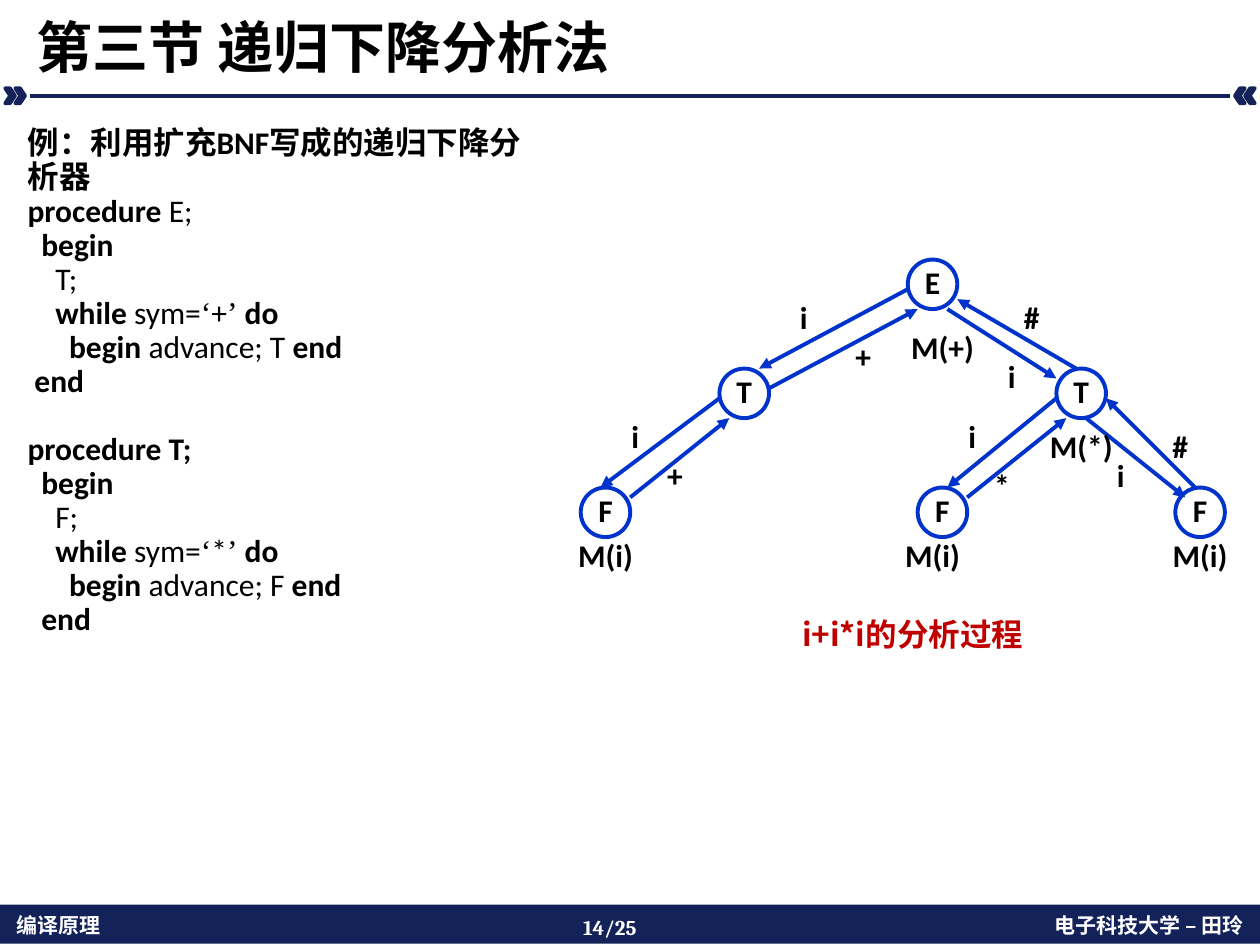
from itertools import groupby

from pptx import Presentation
from pptx.dml.color import RGBColor as RGB
from pptx.enum.shapes import MSO_CONNECTOR as Link, MSO_SHAPE as Kind
from pptx.enum.text import MSO_ANCHOR as Anchor, MSO_AUTO_SIZE as Fit, PP_ALIGN as Align
from pptx.oxml.ns import qn
from pptx.util import Inches, Pt

NAVY = RGB(0x13, 0x22, 0x59)
BLUE = RGB(0x00, 0x33, 0xCC)
RED = RGB(0xC0, 0x00, 0x00)
BLACK = RGB(0, 0, 0)
WHITE = RGB(0xFF, 0xFF, 0xFF)
HAN = "Noto Sans CJK SC"
LATIN = "Calibri"
QUOTE = "Times New Roman"
STEP = Inches(0.11)

# "|" toggles bold; each row is indent level, gap before in points, text
CODE = [
    (0, 0, "|例：利用扩充BNF写成的递归下降分析器"),
    (0, 0, "|procedure| E;"),
    (1, 0, "|begin"),
    (2, 0, "T;"),
    (2, 0, "|while |sym=‘+’ |do"),
    (3, 0, "|begin| advance; T |end"),
    (0.5, 0, "|end"),
    (0, 19.5, "|procedure T;"),
    (1, 0, "|begin"),
    (2, 0, "F;"),
    (2, 0, "|while |sym=‘*’| do"),
    (3, 0, "|begin |advance; F| end"),
    (1, 0, "|end"),
]
NODES = [("E", 34, 0), ("T", 15, 11), ("T", 49, 11),
         ("F", 1, 23), ("F", 35, 23), ("F", 61, 23)]
ARROWS = [
    (34, 3, 19, 11), (20, 13, 35, 5), (15, 14, 3, 23), (6, 24, 16, 16),
    (38, 5, 49, 12), (51, 11, 39, 4), (52, 16, 62, 24), (63, 23, 54, 14),
    (49, 14, 38, 23), (40, 24, 50, 16),
]
SIGNS = [
    ("i", 4, 16), ("i", 21, 4), ("i", 38, 16), ("+", 8, 20), ("+", 27, 8),
    ("i", 42, 10), ("#", 44, 4), ("#", 59, 17), ("i", 53, 20), ("*", 41, 21),
]
CALLS = [("M(i)", 0, 28), ("M(*)", 48, 17), ("M(i)", 60, 28),
         ("M(+)", 34, 7), ("M(i)", 33, 28)]


def write(para, text, size=18, font=LATIN, color=BLACK, bold=True,
          align=Align.LEFT, space=0.9):
    para.alignment = align
    para.line_spacing = space
    for quote, part in groupby(text, lambda sign: sign in "‘’"):
        run = para.add_run()
        run.text = "".join(part)
        face = run.font
        face.size, face.bold = Pt(size), bold
        face.name = QUOTE if quote else font
        face.color.rgb = color
        props = run._r.get_or_add_rPr()
        east = props.makeelement(qn("a:ea"), {"typeface": HAN})
        props.find(qn("a:latin")).addnext(east)


def label(slide, box, text, **style):
    frame = slide.shapes.add_textbox(*box).text_frame
    frame.word_wrap = True
    write(frame.paragraphs[0], text, **style)


def center(frame, text, **style):
    frame.margin_left = frame.margin_right = 0
    frame.vertical_anchor = Anchor.MIDDLE
    frame.word_wrap = False
    write(frame.paragraphs[0], text, align=Align.CENTER, **style)


def shape(slide, kind, box, line, width, fill=None):
    item = slide.shapes.add_shape(kind, *box)
    item.shadow.inherit = False
    if fill is None:
        item.fill.background()
    else:
        item.fill.solid()
        item.fill.fore_color.rgb = fill
    if line is None:
        item.line.fill.background()
    else:
        item.line.color.rgb = line
        item.line.width = Pt(width)
    return item


def link(slide, ends, color, width, arrow=False):
    item = slide.shapes.add_connector(Link.STRAIGHT, *ends)
    item.line.color.rgb = color
    item.line.width = Pt(width)
    props = item._element.spPr
    props.append(props.makeelement(qn("a:effectLst"), {}))
    if arrow:
        line = item.line._get_or_add_ln()
        line.append(line.makeelement(qn("a:tailEnd"), {"type": "triangle"}))


def footer(slide, box):
    left, top, width, height = box
    shape(slide, Kind.RECTANGLE, box, None, 0, NAVY)
    side = Inches(2.97)
    pad = Inches(0.03)
    label(slide, (left + pad, top + Inches(0.01), side, height), "编译原理",
          size=12, font=HAN, color=WHITE, space=1)
    label(slide, (left + width - side - pad, top + Inches(0.01), side, height),
          "电子科技大学 – 田玲", size=12, font=HAN, color=WHITE,
          align=Align.RIGHT, space=1)
    page = Inches(0.94)
    label(slide, (left + (width - page) // 2, top + pad, page, height),
          "14/25", size=12, font="Cambria", color=WHITE, space=1)


def rule(slide, box):
    left, top, width, height = box
    wide = Inches(0.08)
    for place in (0, wide):
        shape(slide, Kind.CHEVRON, (left + place, top, wide, height), NAVY, 2, NAVY)
        far = left + width - wide - place
        shape(slide, Kind.CHEVRON, (far, top, wide, height), NAVY, 2, NAVY).rotation = 180
    mid = top + height // 2
    inset = Inches(0.2)
    link(slide, (left + inset, mid, left + width - inset, mid), NAVY, 2)


def title(slide, box, text):
    head = slide.shapes.title
    head.left, head.top, head.width, head.height = box
    frame = head.text_frame
    frame.auto_size = Fit.NONE
    frame.vertical_anchor = Anchor.BOTTOM
    write(frame.paragraphs[0], text, size=32, font=HAN)


def code(slide, box):
    frame = slide.shapes.add_textbox(*box).text_frame
    frame.word_wrap = True
    for row, (level, gap, text) in enumerate(CODE):
        para = frame.add_paragraph() if row else frame.paragraphs[0]
        para.space_before = Pt(gap)
        para._p.get_or_add_pPr().set("marL", str(int(level * STEP)))
        for turn, part in enumerate(text.split("|")):
            write(para, part, bold=turn % 2 == 1)


def tree(slide, box):
    left, top, width, _ = box
    unit = width / 67

    def cell(col, row, wide, high):
        return (int(left + col * unit), int(top + row * unit),
                int(wide * unit), int(high * unit))

    def mark(text, spot, **style):
        center(slide.shapes.add_textbox(*spot).text_frame, text, **style)

    for name, col, row in NODES:
        node = shape(slide, Kind.OVAL, cell(col, row, 5, 5), BLUE, 2.25)
        center(node.text_frame, name)
    for ax, ay, bx, by in ARROWS:
        ends = cell(ax, ay, 0, 0)[:2] + cell(bx, by, 0, 0)[:2]
        link(slide, ends, BLUE, 2.25, arrow=True)
    for group, wide in ((SIGNS, 5), (CALLS, 7)):
        for text, col, row in group:
            mark(text, cell(col, row, wide, 4))
    mark("i+i*i的分析过程", cell(7, 35, 55, 6), font=HAN, color=RED)


def area(*sizes):
    return tuple(Inches(size) for size in sizes)


def main():
    deck = Presentation()
    deck.slide_width, deck.slide_height = area(10, 7.5)
    slide = deck.slides.add_slide(deck.slide_layouts[5])
    footer(slide, area(0, 7.18, 10, 0.31))
    rule(slide, area(0.04, 0.7, 9.92, 0.12))
    title(slide, area(0.19, 0.05, 9.61, 0.64), "第三节 递归下降分析法")
    code(slide, area(0.12, 0.96, 4.25, 4.96))
    tree(slide, area(4.53, 2.06, 5.27, 3.23))
    deck.save("out.pptx")


if __name__ == "__main__":
    main()
